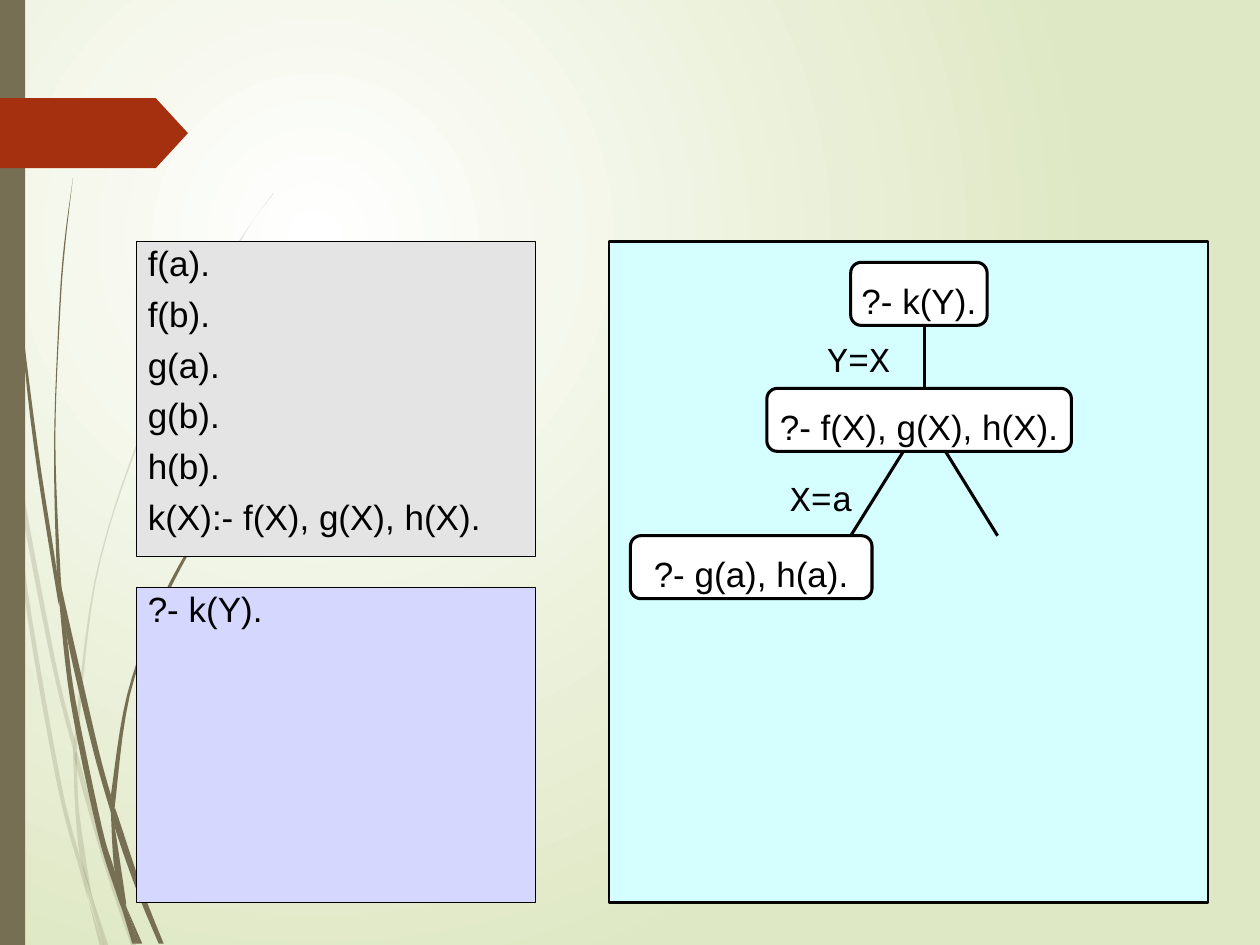
import lxml.etree
import pptx
import pptx.dml.color
import pptx.enum.shapes
import pptx.enum.text
import pptx.oxml.ns
import pptx.util

Cm = pptx.util.Cm
Pt = pptx.util.Pt
RGBColor = pptx.dml.color.RGBColor
MSO_SHAPE = pptx.enum.shapes.MSO_SHAPE
PP_ALIGN = pptx.enum.text.PP_ALIGN
MSO_ANCHOR = pptx.enum.text.MSO_ANCHOR
qn = pptx.oxml.ns.qn

BLACK = RGBColor(0x00, 0x00, 0x00)
WHITE = RGBColor(0xFF, 0xFF, 0xFF)
PALE_GREEN = RGBColor(0xDF, 0xE8, 0xC4)
OLIVE = RGBColor(0x76, 0x6F, 0x54)
RUST = RGBColor(0xA5, 0x30, 0x10)
GREY = RGBColor(0xE4, 0xE4, 0xE4)
LILAC = RGBColor(0xD6, 0xD7, 0xFF)
CYAN = RGBColor(0xD4, 0xFE, 0xFF)

FACTS = ["f(a).", "f(b).", "g(a).", "g(b).", "h(b).", "k(X):- f(X), g(X), h(X)."]
QUERY = ["?- k(Y)."]

# Each blade is one edge out and one edge back, on a field 7.5 units high.
FIELD_HEIGHT = 7.5
FAINT_BLADES = [
    ([(.08, 3.5), (.06, 3.22), (0, 2.82)], [(0, 2.99), (.07, 3.44), (.08, 3.5)]),
    ([(.1, 3.45), (.12, 3.76), (.4, 5.22), (.59, 5.99)], [(.59, 5.86), (.43, 5.2), (.1, 3.45)]),
    ([(.61, 5.96), (.61, 6.1), (.85, 6.94), (1.04, 7.5)],
     [(1.08, 7.5), (.88, 6.92), (.64, 6.07), (.61, 5.96)]),
    ([(.73, 7.11), (.83, 7.5)], [(.86, 7.5), (.73, 7.11)]),
    ([(.08, 3.5), (.19, 4.7), (.45, 6.21), (.64, 6.93), (.7, 7.14)],
     [(.69, 7.07), (.64, 6.83), (.48, 6.19), (.22, 4.69), (.12, 3.76), (.08, 3.5)]),
    ([(.58, 5.99), (.6, 6.46), (.64, 6.83), (.73, 7.11)],
     [(.72, 7.06), (.63, 6.46), (.61, 6.1), (.58, 5.99)]),
    ([(.59, 5.86), (.75, 4.61), (1.1, 3.48), (1.58, 2.44), (1.86, 1.97), (2.01, 1.75), (2.17, 1.53)],
     [(2.17, 1.54), (2.01, 1.75), (1.87, 1.98), (1.59, 2.45), (1.11, 3.49), (.76, 4.62), (.61, 5.96)]),
    ([(.7, 7.14), (.79, 7.5)], [(.82, 7.5), (.7, 7.14)]),
    ([(.61, 6.1), (.61, 5.96), (.59, 5.86)], [(.58, 5.99), (.61, 6.08)]),
    ([(.65, 6.83), (.69, 7.07), (.82, 7.5)], [(.83, 7.5), (.73, 7.11), (.65, 6.83)]),
]
SOLID_BLADES = [
    ([(.03, 0), (.04, .48), (.06, 1.09), (.15, 2.32), (.3, 3.55), (.45, 4.53), (.47, 4.81)],
     [(.46, 4.77), (.27, 3.55), (.14, 2.33), (.05, 1.1), (.03, .48), (.02, 0)]),
    ([(.5, 4.72), (.53, 5.05), (.73, 5.92), (.88, 6.45)], [(.88, 6.31), (.77, 5.9), (.5, 4.72)]),
    ([(.91, 6.41), (.91, 6.56), (1.09, 7.08), (1.26, 7.49)],
     [(1.3, 7.49), (1.13, 7.06), (.94, 6.49), (.91, 6.41)]),
    ([(.47, 4.77), (.56, 5.57), (.77, 6.59), (.92, 7.08), (.97, 7.22)],
     [(.96, 7.17), (.91, 6.91), (.81, 6.57), (.6, 5.56), (.53, 5.05), (.47, 4.77)]),
    ([(.5, 4.72), (.48, 4.53), (.44, 3.49), (.48, 2.45), (.52, 1.93), (.58, 1.41)],
     [(.58, 1.41), (.51, 1.93), (.47, 2.45), (.43, 3.49), (.45, 4.49), (.49, 4.72)]),
    ([(1, 7.19), (1.1, 7.49)], [(1.13, 7.49), (1, 7.19)]),
    ([(.45, 4.49), (.47, 4.77), (.53, 5.05)], [(.5, 4.72), (.45, 4.49)]),
    ([(.91, 6.41), (1.03, 5.52), (1.31, 4.76), (1.69, 4.06), (1.91, 3.74), (2.16, 3.44)],
     [(2.15, 3.44), (1.91, 3.73), (1.68, 4.05), (1.29, 4.74), (1.01, 5.51), (.88, 6.31)]),
    ([(.97, 7.22), (1.05, 7.49)], [(1.08, 7.49), (.97, 7.22)]),
    ([(.88, 6.45), (.91, 6.91), (1, 7.19)], [(1, 7.16), (.91, 6.56), (.88, 6.45)]),
    ([(.91, 6.56), (.91, 6.41), (.88, 6.31)], [(.88, 6.45), (.91, 6.56)]),
    ([(.91, 6.91), (.97, 7.22), (1.08, 7.49)], [(1.1, 7.49), (1, 7.19), (.91, 6.91)]),
]


def paint(shape, fill, line_width=None):
    """Give a shape a flat fill, an optional black outline and no shadow."""
    shape.shadow.inherit = False
    shape.fill.solid()
    shape.fill.fore_color.rgb = fill
    if line_width is None:
        shape.line.fill.background()
    else:
        shape.line.color.rgb = BLACK
        shape.line.width = Pt(line_width)


def write(shape, lines, font_name="Arial", paragraph_format=None, **frame_format):
    """Write lines of 20 point text into a shape."""
    frame = shape.text_frame
    margins = dict.fromkeys(("margin_left", "margin_top", "margin_right", "margin_bottom"), 0)
    for name, value in {**margins, "word_wrap": True, **frame_format}.items():
        setattr(frame, name, value)
    for index, line in enumerate(lines):
        paragraph = frame.add_paragraph() if index else frame.paragraphs[0]
        space = Pt(5 if index else 0)
        for name, value in {"space_before": space, **(paragraph_format or {})}.items():
            setattr(paragraph, name, value)
        run = paragraph.add_run()
        run.text = line
        for name, value in {"name": font_name, "size": Pt(20)}.items():
            setattr(run.font, name, value)
        run.font.color.rgb = BLACK


def smooth(points, steps=6):
    """Return a rounded path through the points."""
    padded = [points[0], *points, points[-1]]
    path = [points[0]]
    for before, start, end, after in zip(padded, padded[1:], padded[2:], padded[3:]):
        for step in range(1, steps + 1):
            t = step / steps
            path.append(tuple(
                ((2 * b + (c - a) * t + (2 * a - 5 * b + 4 * c - d) * t ** 2
                  + (3 * b - a - 3 * c + d) * t ** 3) / 2)
                for a, b, c, d in zip(before, start, end, after)))
    return path


def add_background(slide):
    """Fill the slide with a round white to green gradient."""
    fill = slide.background.fill
    fill.gradient()
    for stop, color, position in zip(fill.gradient_stops, (WHITE, PALE_GREEN), (0, 1)):
        stop.color.rgb = color
        stop.position = position
    gradient = slide.element.find(".//" + qn("a:gradFill"))
    gradient.remove(gradient.find(qn("a:lin")))
    circle = lxml.etree.SubElement(gradient, qn("a:path"), path="circle")
    lxml.etree.SubElement(circle, qn("a:fillToRect"), l="50000", t="50000", r="100000", b="100000")


def add_grass(slide, left, top, height, blades, opacity):
    """Draw curved blades in a field of the given height."""
    unit = height / FIELD_HEIGHT
    for edges in blades:
        outline = [(round(x * unit), round(y * unit)) for edge in edges for x, y in smooth(edge)]
        builder = slide.shapes.build_freeform(*outline[0])
        builder.add_line_segments(outline[1:], close=True)
        blade = builder.convert_to_shape(left, top)
        paint(blade, OLIVE)
        color = blade.element.spPr.find(qn("a:solidFill"))[0]
        lxml.etree.SubElement(color, qn("a:alpha"), val=str(opacity * 1000))


def add_decoration(slide, left, top, height):
    """Draw the grass, the side bar and the rust tag."""
    add_grass(slide, left, top, height, FAINT_BLADES, 20)
    add_grass(slide, left, top, height, SOLID_BLADES, 100)
    bar = slide.shapes.add_shape(MSO_SHAPE.RECTANGLE, left, top, Cm(0.51), height)
    paint(bar, OLIVE)
    tag = slide.shapes.add_shape(MSO_SHAPE.PENTAGON, left, top + Cm(1.98), Cm(3.79), Cm(1.41))
    tag.adjustments[0] = 0.46
    paint(tag, RUST)


def add_panel(slide, left, top, width, height, fill, line_width, lines=()):
    """Draw an outlined panel with left-aligned lines of code."""
    panel = slide.shapes.add_shape(MSO_SHAPE.RECTANGLE, left, top, width, height)
    paint(panel, fill, line_width)
    write(panel, lines, paragraph_format={"alignment": PP_ALIGN.LEFT},
          margin_left=Cm(0.23), vertical_anchor=MSO_ANCHOR.TOP)


def add_search_tree(slide, left, top, width, height):
    """Draw the panel with the goals, the branches and their bindings."""
    add_panel(slide, left, top, width, height, CYAN, 1.5)
    centred = {"alignment": PP_ALIGN.CENTER}
    node_height = Cm(1.27)
    for text, x, y, node_width in [("?- k(Y).", 4.87, 0.42, 2.75),
                                   ("?- f(X), g(X), h(X).", 3.18, 2.96, 6.14),
                                   ("?- g(a), h(a).", 0.43, 5.93, 4.87)]:
        node = slide.shapes.add_shape(MSO_SHAPE.ROUNDED_RECTANGLE, left + Cm(x), top + Cm(y),
                                      Cm(node_width), node_height)
        paint(node, WHITE, 1.75)
        write(node, [text], paragraph_format=centred, margin_top=Cm(0.25), word_wrap=False,
              vertical_anchor=MSO_ANCHOR.MIDDLE)
    for x1, y1, x2, y2 in [(6.35, 1.69, 6.35, 2.96), (5.93, 4.23, 4.87, 5.93),
                           (6.78, 4.23, 7.83, 5.93)]:
        branch = slide.shapes.add_connector(
            pptx.enum.shapes.MSO_CONNECTOR.STRAIGHT,
            left + Cm(x1), top + Cm(y1), left + Cm(x2), top + Cm(y2))
        branch.line.color.rgb = BLACK
        branch.line.width = Pt(1.75)
        lxml.etree.SubElement(branch.element.spPr, qn("a:effectLst"))
    for text, x, y in [("Y=X", 4.23, 1.95), ("X=a", 3.48, 4.75)]:
        label = slide.shapes.add_textbox(left + Cm(x), top + Cm(y), Cm(1.6), Cm(0.8))
        write(label, [text], "Courier New", centred, vertical_anchor=MSO_ANCHOR.MIDDLE)


def main():
    """Build and save the slide."""
    presentation = pptx.Presentation()
    presentation.slide_width, presentation.slide_height = Cm(25.4), Cm(19.05)
    slide = presentation.slides.add_slide(presentation.slide_layouts[6])
    add_background(slide)
    add_decoration(slide, 0, 0, presentation.slide_height)
    for top, fill, lines in [(4.87, GREY, FACTS), (11.85, LILAC, QUERY)]:
        add_panel(slide, Cm(2.75), Cm(top), Cm(8.05), Cm(6.35), fill, 0.75, lines)
    add_search_tree(slide, Cm(12.28), Cm(4.87), Cm(12.07), Cm(13.33))
    presentation.save("out.pptx")


main()
